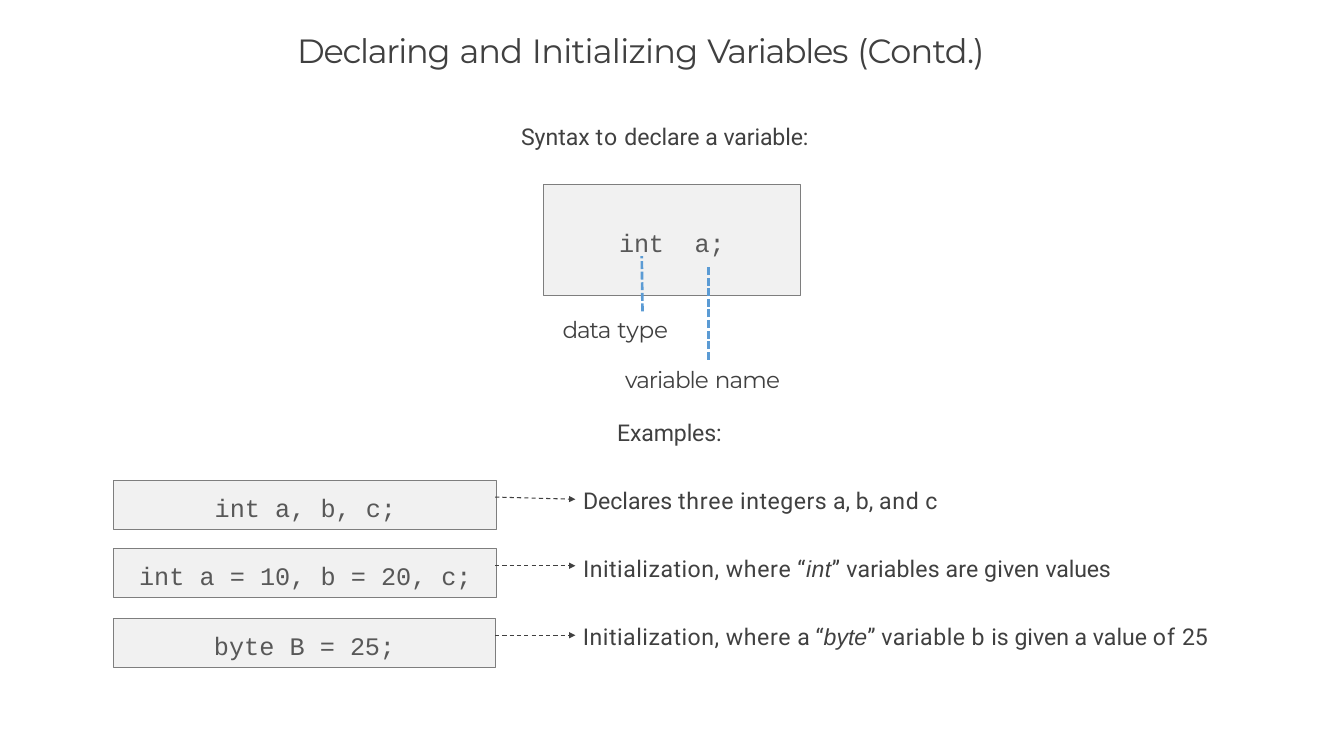
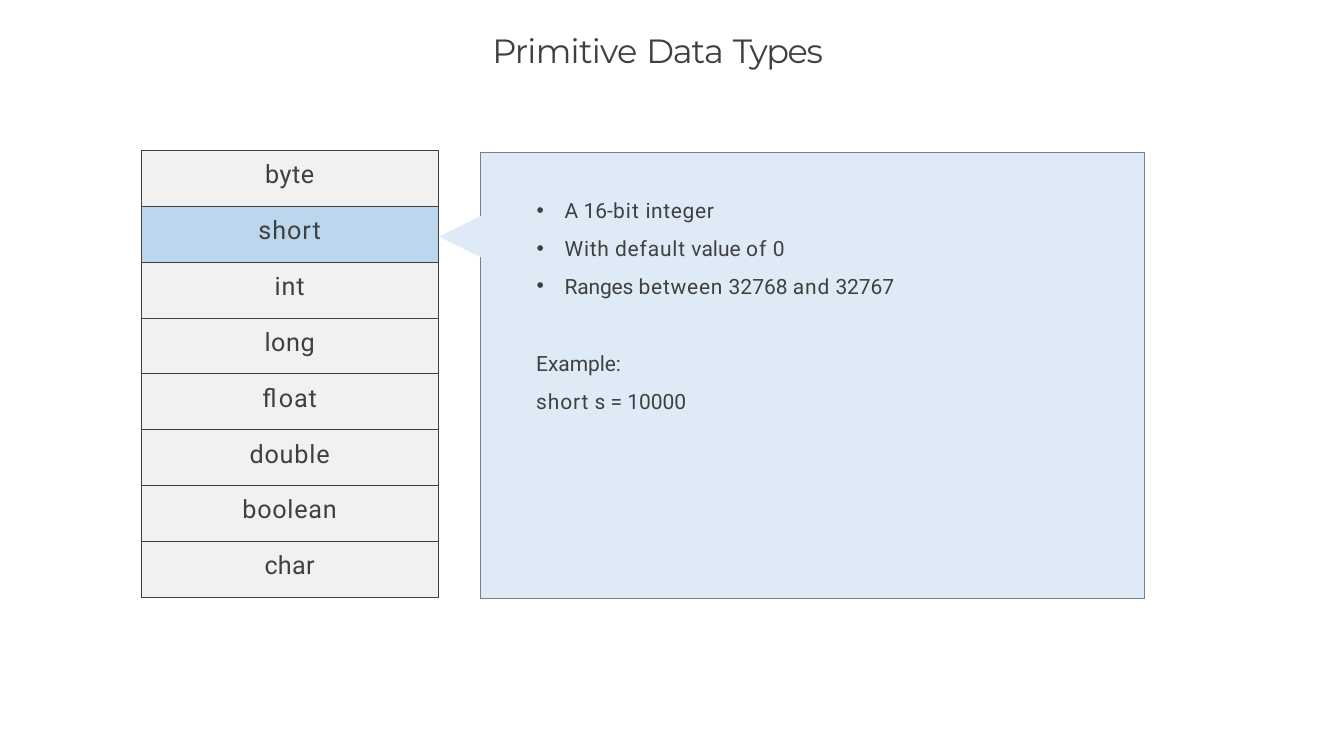
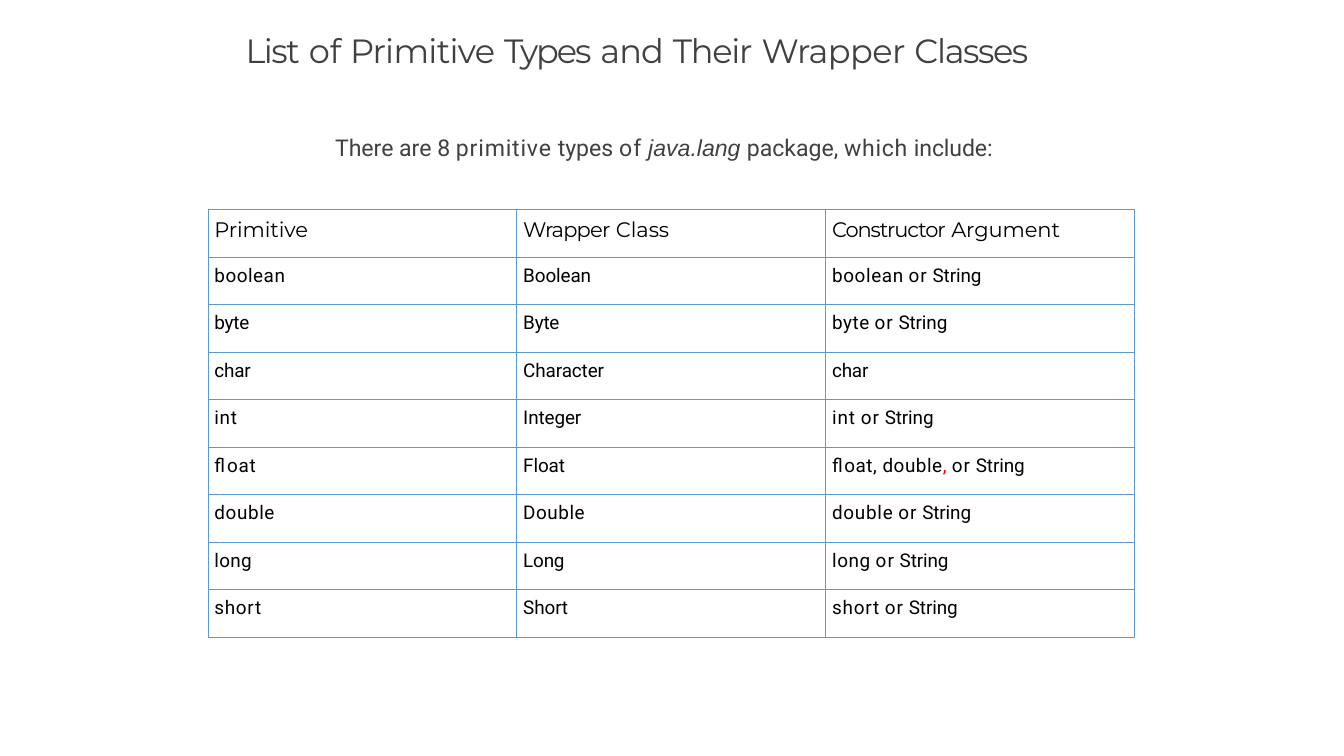
from lxml.etree import SubElement
from pptx import Presentation
from pptx.dml.color import RGBColor
from pptx.enum.dml import MSO_LINE_DASH_STYLE as Dash
from pptx.enum.shapes import MSO_CONNECTOR_TYPE as Connector, MSO_SHAPE as Shape
from pptx.enum.text import MSO_ANCHOR as Anchor, MSO_AUTO_SIZE as AutoSize, PP_ALIGN as Align
from pptx.oxml.ns import qn
from pptx.util import Pt

COLORS = {
    "text": "404040", "code": "585858", "black": "000000", "red": "FF0000",
    "box": "F1F1F1", "outline": "7E7E7E", "pointer": "5B9BD4",
    "selected": "BCD6ED", "callout": "DEEBF7",
}
TITLE_FONT, BODY_FONT, CODE_FONT = "Montserrat", "Roboto", "Courier New"
KEYWORD = {"font": "Arial", "italic": True}
RGB = {name: RGBColor.from_string(value) for name, value in COLORS.items()}


def write(frame, runs, font=BODY_FONT, size=22, color="text", before=1, indent=0,
          hanging=0, align=Align.LEFT, inset=None, bullet=None, tab=None):
    """Add one paragraph of (text, letter spacing[, format changes]) runs.

    The letter spacing does not apply to a run's trailing space.
    """
    if inset is not None:
        frame.margin_left = frame.margin_right = frame.margin_bottom = 0
        frame.margin_top = Pt(inset)
        frame.word_wrap = True
        frame.auto_size = AutoSize.NONE
        frame.vertical_anchor = Anchor.TOP
    paragraph = frame.add_paragraph() if frame.text else frame.paragraphs[0]
    paragraph.alignment = align
    paragraph.space_before = Pt(before)
    properties = paragraph._p.get_or_add_pPr()
    properties.set("marL", str(int(Pt(indent))))
    properties.set("indent", str(int(Pt(-hanging))))
    if bullet:
        SubElement(properties, qn("a:buFont"), typeface="Arial")
        SubElement(properties, qn("a:buChar"), char=bullet)
    if tab:
        tabs = SubElement(properties, qn("a:tabLst"))
        SubElement(tabs, qn("a:tab"), pos=str(int(Pt(tab))), algn="l")
    for text, spacing, *changes in runs:
        look = {"font": font, "color": color, "italic": False}
        look.update(*changes)
        word = text.rstrip()
        for part, part_spacing in ((word, spacing), (text[len(word):], 0)):
            if not part:
                continue
            run = paragraph.add_run()
            run.text = part
            run.font.name = look["font"]
            run.font.size = Pt(size)
            run.font.bold = False
            run.font.italic = look["italic"]
            run.font.color.rgb = RGB[look["color"]]
            run._r.get_or_add_rPr().set("spc", str(round(part_spacing * 100)))


def format_cell(cell, line_color, line_width, inset, fill=None):
    cell.margin_left = cell.margin_right = cell.margin_bottom = 0
    cell.margin_top = Pt(inset)
    cell.vertical_anchor = Anchor.TOP
    properties = cell._tc.get_or_add_tcPr()
    for side in ("lnL", "lnR", "lnT", "lnB"):
        line = SubElement(properties, qn(f"a:{side}"), w=str(int(Pt(line_width))))
        line_fill = SubElement(line, qn("a:solidFill"))
        SubElement(line_fill, qn("a:srgbClr"), val=COLORS[line_color])
    if fill:
        cell.fill.solid()
        cell.fill.fore_color.rgb = RGB[fill]
    else:
        cell.fill.background()


presentation = Presentation()
presentation.slide_width, presentation.slide_height = Pt(1280.16), Pt(720)

# Slides and titles
titles = [
    (232.5, 816, 50.4, [("Declaring ", -1.2), ("and ", -0.9), ("Initializing ", -0.7),
                        ("Variables ", -1.3), ("(Contd.)", -0.7)]),
    (468, 345, 1, [("Primitive ", -0.7), ("Data ", -1.1), ("Types", -1.4)]),
    (232.5, 816, 1.4, [("List ", -1.4), ("of ", -0.1), ("Primitive ", -0.7), ("Types ", -2),
                       ("and ", -0.9), ("Their ", -1.2), ("Wrapper ", -0.5),
                       ("Classes", -1.4)]),
]
for left, width, indent, runs in titles:
    slide = presentation.slides.add_slide(presentation.slide_layouts[5])
    title = slide.shapes.title
    title.left, title.top, title.width, title.height = Pt(left), Pt(27.4), Pt(width), Pt(46)
    write(title.text_frame, runs, font=TITLE_FONT, size=32, indent=indent, inset=1)
variables_slide, types_slide, wrappers_slide = presentation.slides

# Captions in body text
captions = [
    (variables_slide, 495.4, 115.2, 290,
     [("Syntax ", 0), ("to ", 1.2), ("declare a ", 0), ("variable:", -0.1)]),
    (variables_slide, 554.4, 462.2, 350,
     [("Declares ", 0), ("three ", 0.8), ("integers ", 0.5), ("a, b, ", 0),
      ("and ", 0.7), ("c", -0.5)]),
    (variables_slide, 554.4, 527, 517,
     [("Initialization, ", 0.5), ("where ", 0.7), ("“", 0.5), ("int", 0.5, KEYWORD),
      ("” ", 0.5), ("variables are given ", 0.15), ("values", -0.1)]),
    (variables_slide, 554.4, 591.8, 607,
     [("Initialization, ", 0.5), ("where ", 0.7), ("a “", 0), ("byte", 0, KEYWORD),
      ("” ", 0), ("variable ", 0.5), ("b ", 1.1), ("is given a value ", 0),
      ("of ", 1.1), ("25", -0.2)]),
    (wrappers_slide, 318.2, 126, 644,
     [("There are 8 ", 0), ("primitive ", 0.8), ("types ", 0), ("of ", 1.1),
      ("java.lang ", 0, KEYWORD), ("package, ", 0), ("which ", 0.7), ("include:", -0.1)]),
]
for slide, left, top, width, runs in captions:
    caption = slide.shapes.add_textbox(Pt(left), Pt(top), Pt(width), Pt(28))
    write(caption.text_frame, runs, indent=0.9, inset=1)

# Slide 1: code boxes
code_boxes = [
    (517.3, 175.7, 245.3, 105.8, 0, []),
    (108, 457.2, 365, 47.2, 96.5, [("int a, b, ", 0), ("c;", -0.2)]),
    (108, 522, 365, 47.2, 24.5, [("int a = 10, b = 20, ", 0), ("c;", -0.2)]),
    (108, 588.6, 364, 47.2, 95.8, [("byte B = ", 0), ("25;", -0.2)]),
]
for left, top, width, height, indent, runs in code_boxes:
    box = variables_slide.shapes.add_shape(
        Shape.RECTANGLE, Pt(left), Pt(top), Pt(width), Pt(height))
    box.shadow.inherit = False
    box.fill.solid()
    box.fill.fore_color.rgb = RGB["box"]
    box.line.color.rgb = RGB["outline"]
    box.line.width = Pt(0.72)
    if runs:
        write(box.text_frame, runs, font=CODE_FONT, size=24, color="code",
              before=11.6, indent=indent, inset=11.6)

# Slide 1: dashed pointers under the declaration
pointer_outline = variables_slide.shapes.build_freeform(Pt(612), Pt(296.6))
pointer_outline.add_line_segments([(Pt(611.3), Pt(244))], close=False)
pointer_outline.move_to(Pt(674.6), Pt(342.7))
pointer_outline.add_line_segments([(Pt(674.6), Pt(252.7))], close=False)
pointers = pointer_outline.convert_to_shape()
pointers.shadow.inherit = False
pointers.fill.background()
pointers.line.color.rgb = RGB["pointer"]
pointers.line.width = Pt(2.52)
pointers.line.dash_style = Dash.SQUARE_DOT
pointers.line._ln.find(qn("a:prstDash")).set("val", "sysDash")

# Slide 1: arrows to the explanations
for start_y, end_y in [(473.4, 475.5), (538.8, 538.8), (605, 605)]:
    arrow = variables_slide.shapes.add_connector(
        Connector.STRAIGHT, Pt(471.6), Pt(start_y), Pt(548), Pt(end_y))
    arrow.line.color.rgb = RGB["text"]
    arrow.line.width = Pt(1)
    arrow.line.dash_style = Dash.DASH
    SubElement(arrow.line._ln, qn("a:tailEnd"), type="triangle")
    SubElement(arrow._element.spPr, qn("a:effectLst"))

# Slide 1: declaration and its labels
syntax = variables_slide.shapes.add_textbox(Pt(535), Pt(215.3), Pt(219), Pt(209)).text_frame
write(syntax, [("int\ta;", -0.2)], font=CODE_FONT, size=24, color="code",
      indent=54.7, tab=164.8, inset=1)
write(syntax, [("data ", -1.1), ("type", -0.2)], font=TITLE_FONT, before=55.2, indent=1)
write(syntax, [("variable ", -0.9), ("name", -0.8)], font=TITLE_FONT, before=21, indent=60.5)
write(syntax, [("Examples:", -0.1)], before=24.5, indent=52.8)

# Slide 2: callout
panel = types_slide.shapes.add_shape(Shape.RECTANGLE, Pt(458), Pt(145.4), Pt(632), Pt(424.8))
panel.line.color.rgb = RGB["outline"]
panel.line.width = Pt(0.96)
tip_outline = types_slide.shapes.build_freeform(Pt(478), Pt(195.8))
tip_outline.add_line_segments([(Pt(418.3), Pt(225.4)), (Pt(478), Pt(254.9))])
callout_tip = tip_outline.convert_to_shape()
callout_tip.line.fill.background()
for shape in (panel, callout_tip):
    shape.shadow.inherit = False
    shape.fill.solid()
    shape.fill.fore_color.rgb = RGB["callout"]

details = types_slide.shapes.add_textbox(Pt(509.8), Pt(175), Pt(348.5), Pt(218)).text_frame
facts = [
    [("A 16-", 0), ("bit ", 1.1), ("integer", 0.6)],
    [("With ", 0.7), ("default ", 0.8), ("value ", 0), ("of ", 1.1), ("0", -0.5)],
    [("Ranges ", -0.2), ("between ", 0.7), ("32768 ", 0), ("and", 0.8), (" 32767", -0.1)],
]
for index, runs in enumerate(facts):
    write(details, runs, size=20, before=12 if index else 13, indent=28, hanging=26.6,
          inset=13, bullet="•", tab=28)
write(details, [("Example:", -0.1)], size=20, before=49.7, indent=1)
write(details, [("short ", 0.8), ("s = ", 0), ("10000", -0.1)], size=20, before=12, indent=1)

# Slide 2: list of types
types = [("byte", 0.5), ("short", 0.9), ("int", 0.9), ("long", 0.5),
         ("float", 0.8), ("double", 0.8), ("boolean", 0.7), ("char", 0.3)]
types_table = types_slide.shapes.add_table(
    len(types), 1, Pt(134.4), Pt(143.3), Pt(283), Pt(425.6)).table
types_table.first_row = types_table.horz_banding = False
for row, run in enumerate(types):
    cell = types_table.cell(row, 0)
    format_cell(cell, "text", 0.75, 9.6, "selected" if run[0] == "short" else "box")
    write(cell.text_frame, [run], size=24, before=9.6, align=Align.CENTER)

# Slide 3: wrapper classes
STRING = [("or ", 1), ("String", -0.1)]
wrappers = [
    [[("Primitive", -0.1)], [("Wrapper ", -0.8), ("Class", -0.1)],
     [("Constructor ", -1.1), ("Argument", -0.1)]],
    [[("boolean", 0.5)], [("Boolean", -0.1)], [("boolean ", 0.6)] + STRING],
    [[("byte", -0.2)], [("Byte", -0.2)], [("byte ", 0.5)] + STRING],
    [[("char", -0.2)], [("Character", -0.1)], [("char", -0.2)]],
    [[("int", 0.7)], [("Integer", -0.1)], [("int ", 0.9)] + STRING],
    [[("float", 0.7)], [("Float", -0.1)],
     [("float, double", 0.5), (", ", 0.5, {"color": "red"})] + STRING],
    [[("double", 0.6)], [("Double", 0.5)], [("double ", 0.7)] + STRING],
    [[("long", 0.3)], [("Long", -0.2)], [("long ", 0.6)] + STRING],
    [[("short", 0.7)], [("Short", -0.1)], [("short ", 0.8)] + STRING],
]
wrappers_table = wrappers_slide.shapes.add_table(
    len(wrappers), 3, Pt(198.2), Pt(199.7), Pt(882.6), Pt(407.4)).table
wrappers_table.first_row = wrappers_table.horz_banding = False
for row, cells in enumerate(wrappers):
    font, size, gap = (BODY_FONT, 18, 7.2) if row else (TITLE_FONT, 20, 7.4)
    for column, runs in enumerate(cells):
        cell = wrappers_table.cell(row, column)
        format_cell(cell, "pointer", 1, gap)
        write(cell.text_frame, runs, font=font, size=size, color="black",
              before=gap, indent=6)

presentation.save("out.pptx")
